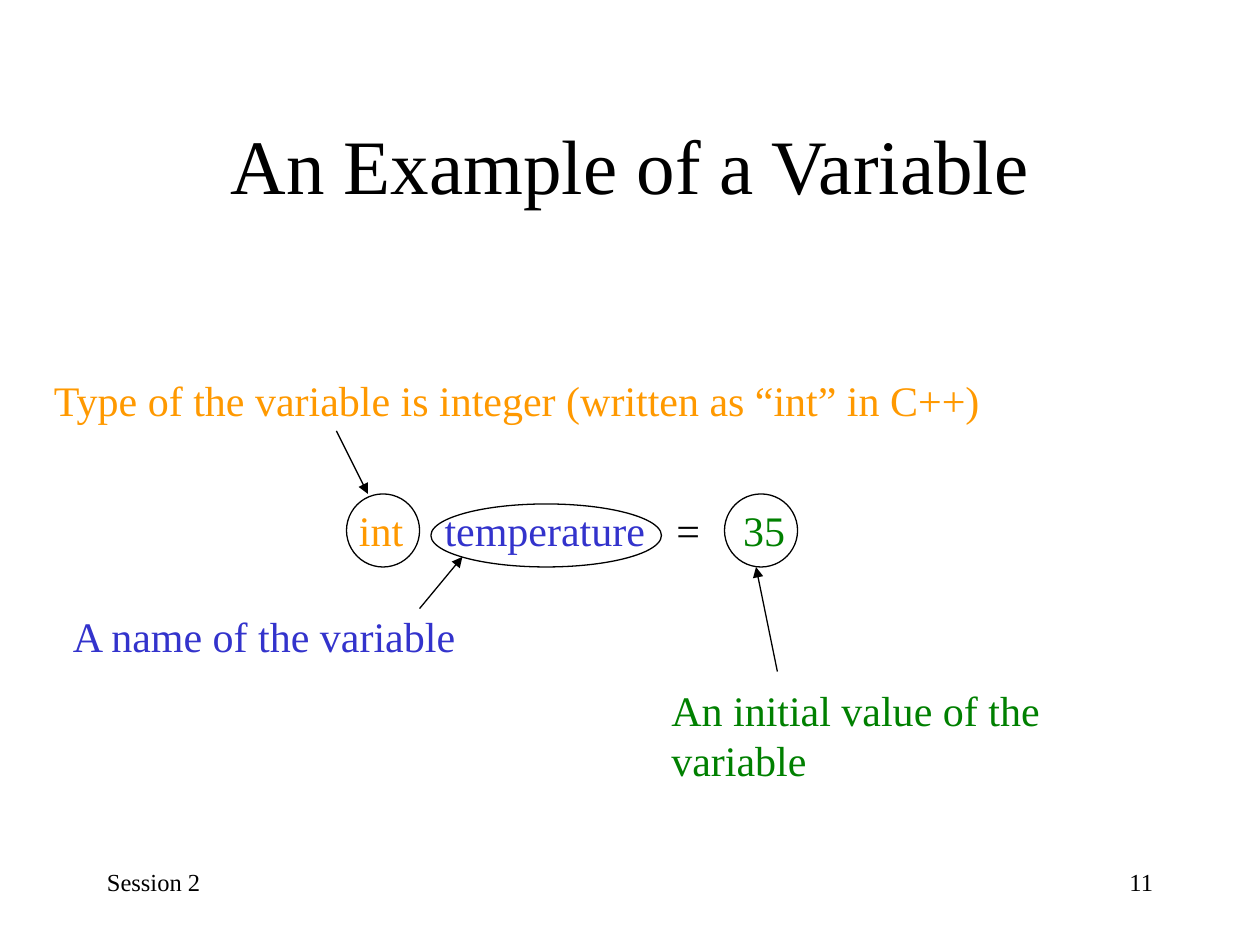
from lxml import etree
from pptx import Presentation
from pptx.dml.color import RGBColor
from pptx.enum.shapes import MSO_CONNECTOR, MSO_SHAPE
from pptx.enum.text import MSO_ANCHOR, PP_ALIGN
from pptx.oxml.ns import qn
from pptx.util import Inches, Pt

LEFT, CENTER, RIGHT = PP_ALIGN.LEFT, PP_ALIGN.CENTER, PP_ALIGN.RIGHT
TOP, MIDDLE = MSO_ANCHOR.TOP, MSO_ANCHOR.MIDDLE
OVAL, STRAIGHT = MSO_SHAPE.OVAL, MSO_CONNECTOR.STRAIGHT

BLACK = RGBColor(0x00, 0x00, 0x00)
WHITE = RGBColor(0xFF, 0xFF, 0xFF)
ORANGE = RGBColor(0xFF, 0x99, 0x00)
BLUE = RGBColor(0x33, 0x33, 0xCC)
GREEN = RGBColor(0x00, 0x80, 0x00)
FONT = "Times New Roman"

# Text, box (left, top, width, height), size, colour, alignment, anchor
TEXTS = [
    ("An Example of a Variable", (0.75, 0.67, 8.5, 1.25), 44, BLACK, CENTER, MIDDLE),
    ("Type of the variable is integer (written as “int” in C++)",
     (0.33, 2.92, 7.61, 0.5), 24, ORANGE, LEFT, TOP),
    ("A name of the variable", (0.48, 4.8, 3.3, 0.5), 24, BLUE, LEFT, TOP),
    ("An initial value of the variable", (5.23, 5.38, 4, 0.9), 24, GREEN, LEFT, TOP),
    ("Session 2", (0.75, 6.83, 2.08, 0.5), 14, BLACK, LEFT, TOP),
    ("11", (7.17, 6.83, 2.08, 0.5), 14, BLACK, RIGHT, TOP),
]

# Parts of the statement, each with its tab position inside the box
STATEMENT_BOX = (2.75, 4, 3.92, 0.75)
STATEMENT = [("int", ORANGE, 0), ("temperature", BLUE, 0.68),
             ("=", BLACK, 2.52), ("35", GREEN, 3.05)]

# Rings around the type, the name and the value
RINGS = [(2.75, 3.92, 0.58, 0.58), (3.42, 4, 1.83, 0.5), (5.75, 3.92, 0.58, 0.58)]

# Arrows from each label to its ring
ARROWS = [((2.67, 3.42), (2.92, 3.92)),
          ((3.33, 4.83), (3.67, 4.42)),
          ((6.17, 5.33), (6, 4.5))]


def style(r, size, color):
    r.font.name = FONT
    r.font.size = Pt(size)
    r.font.color.rgb = color


def add_box(s, box, anchor=TOP):
    tf = s.shapes.add_textbox(*map(Inches, box)).text_frame
    tf.word_wrap = True
    tf.vertical_anchor = anchor
    return tf


def add_text(s, text, box, size, color, align, anchor):
    p = add_box(s, box, anchor).paragraphs[0]
    p.text = text
    p.alignment = align
    style(p.runs[0], size, color)


def add_ring(s, box):
    sp = s.shapes.add_shape(OVAL, *map(Inches, box))
    sp.shadow.inherit = False
    sp.fill.solid()
    sp.fill.fore_color.rgb = WHITE
    sp.line.color.rgb = BLACK
    sp.line.width = Pt(0.75)


def add_statement(s):
    p = add_box(s, STATEMENT_BOX).paragraphs[0]
    p.line_spacing = 0.9
    tabs = etree.SubElement(p._p.get_or_add_pPr(), qn("a:tabLst"))
    for text, color, offset in STATEMENT:
        r = p.add_run()
        r.text = text
        if offset:
            r.text = "\t" + text
            etree.SubElement(tabs, qn("a:tab"), pos=str(Inches(offset)), algn="l")
        style(r, 24, color)


def add_arrow(s, start, end):
    c = s.shapes.add_connector(STRAIGHT, *map(Inches, start + end))
    c.line.color.rgb = BLACK
    c.line.width = Pt(0.75)
    etree.SubElement(c.line._get_or_add_ln(), qn("a:tailEnd"), type="triangle")
    etree.SubElement(c._element.spPr, qn("a:effectLst"))


def main():
    prs = Presentation()
    prs.slide_width, prs.slide_height = Inches(10), Inches(7.5)
    s = prs.slides.add_slide(prs.slide_layouts[6])

    # Rings lie behind the statement
    for box in RINGS:
        add_ring(s, box)
    add_statement(s)

    # Title, labels and footer
    for item in TEXTS:
        add_text(s, *item)

    for start, end in ARROWS:
        add_arrow(s, start, end)

    prs.save("out.pptx")


if __name__ == "__main__":
    main()
